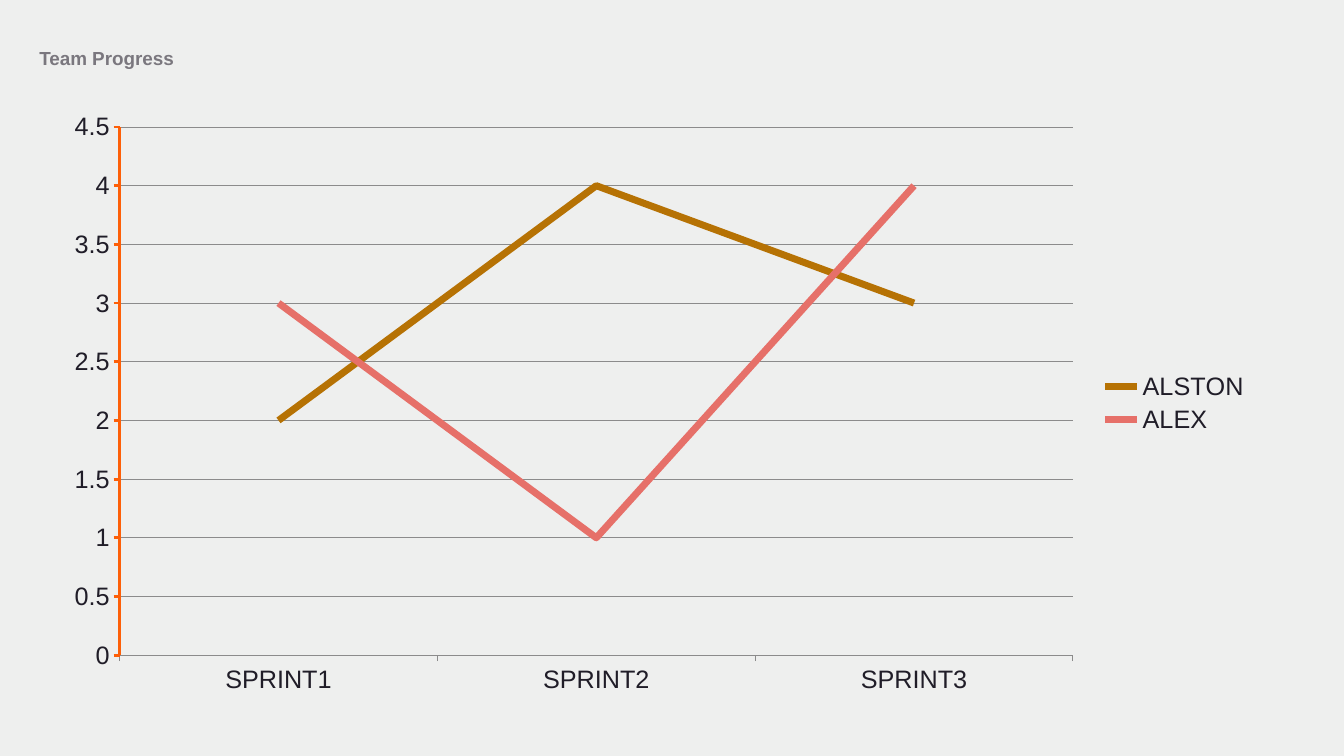
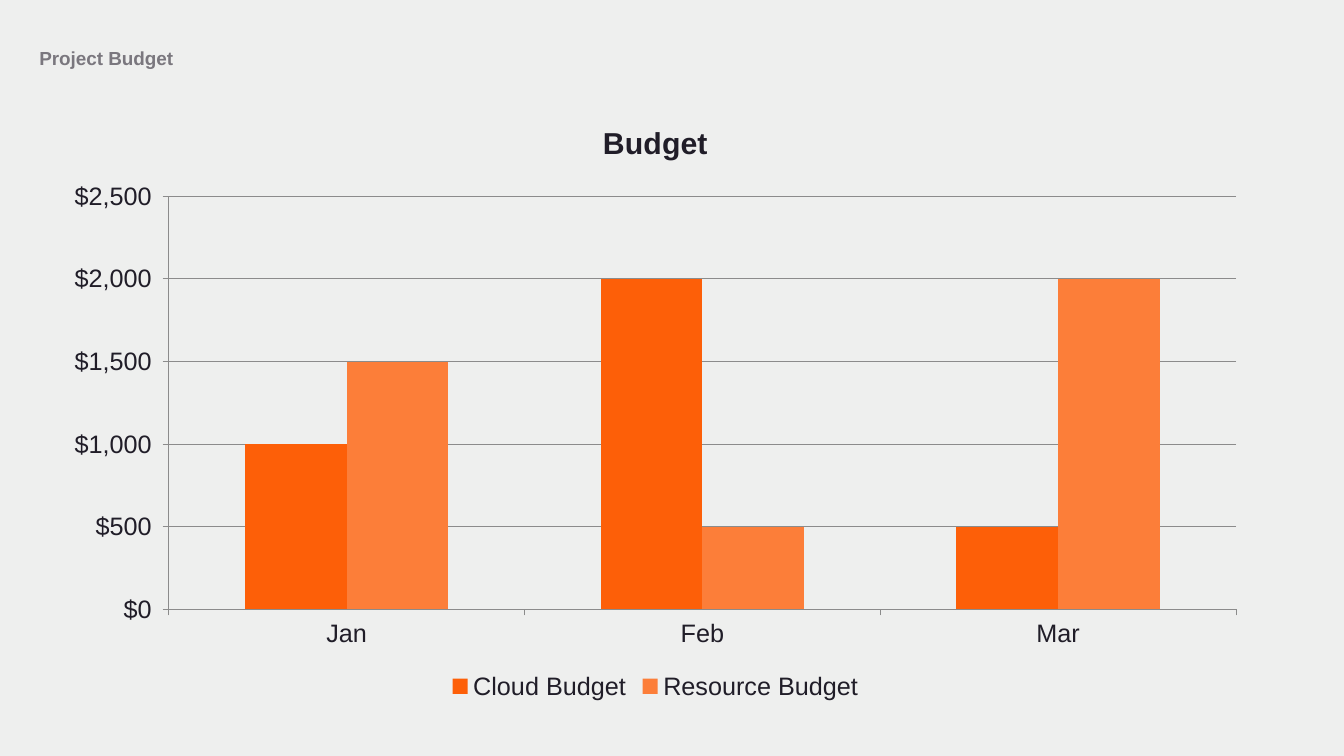
from pptx import Presentation
from pptx.chart.data import CategoryChartData
from pptx.dml.color import RGBColor
from pptx.enum.chart import XL_CHART_TYPE, XL_LEGEND_POSITION, XL_TICK_MARK
from pptx.enum.text import MSO_ANCHOR
from pptx.util import Emu, Pt

PX = 9144  # EMU per px, 100 px to the inch
SLIDE_SIZE = (1333, 750)
TITLE_BOX = (39, 39, 1253, 39)
CHART_BOX = (50, 100, 1200, 600)

FONT = "Arial"
BACKGROUND = RGBColor(0xEE, 0xEF, 0xEE)
TITLE_GRAY = RGBColor(0x7A, 0x77, 0x7E)
INK = RGBColor(0x20, 0x1D, 0x28)
GRID_GRAY = RGBColor(0x8B, 0x8B, 0x8B)
ORANGE = RGBColor(0xFD, 0x5F, 0x08)
LIGHT_ORANGE = RGBColor(0xFC, 0x7E, 0x39)
OCHRE = RGBColor(0xB6, 0x72, 0x04)
CORAL = RGBColor(0xE6, 0x70, 0x69)

DOLLARS = '"$"#,##0_);[Red]\\("$"#,##0\\)'


def emu(box):
    return [Emu(length * PX) for length in box]


def style_font(font, size, color, bold=False):
    font.name = FONT
    font.size = Pt(size)
    font.bold = bold
    font.color.rgb = color


def style_line(line, color, width):
    line.color.rgb = color
    line.width = Pt(width)


def add_titled_slide(prs, title):
    slide = prs.slides.add_slide(prs.slide_layouts[6])
    slide.background.fill.solid()
    slide.background.fill.fore_color.rgb = BACKGROUND
    frame = slide.shapes.add_textbox(*emu(TITLE_BOX)).text_frame
    frame.word_wrap = True
    frame.vertical_anchor = MSO_ANCHOR.MIDDLE
    frame.margin_left = frame.margin_right = 0
    frame.margin_top = frame.margin_bottom = 0
    frame.text = title
    heading = frame.paragraphs[0]
    heading.line_spacing = 0.9
    style_font(heading.runs[0].font, 13.5, TITLE_GRAY, bold=True)
    return slide


def add_category_chart(slide, box, kind, categories, series, top, step,
                       legend_side, number_format="General"):
    """Add a chart with the shared fonts, axes, gridlines and legend."""
    data = CategoryChartData(number_format=number_format)
    data.categories = categories
    for name, values in series:
        data.add_series(name, values)
    chart = slide.shapes.add_chart(kind, *emu(box), data).chart
    style_font(chart.font, 18, INK)
    chart.has_title = False
    chart.has_legend = True
    chart.legend.position = legend_side
    chart.legend.include_in_layout = False
    chart.plots[0].vary_by_categories = False

    for axis in (chart.category_axis, chart.value_axis):
        axis.major_tick_mark = XL_TICK_MARK.OUTSIDE
        axis.minor_tick_mark = XL_TICK_MARK.NONE
        style_line(axis.format.line, GRID_GRAY, 0.75)
    scale = chart.value_axis
    scale.minimum_scale, scale.maximum_scale = 0, top
    scale.major_unit = step
    scale.has_major_gridlines = True
    style_line(scale.major_gridlines.format.line, GRID_GRAY, 0.75)
    scale.tick_labels.number_format = number_format
    scale.tick_labels.number_format_is_linked = False
    return chart


def add_progress_slide(prs):
    slide = add_titled_slide(prs, "Team Progress")
    chart = add_category_chart(
        slide, CHART_BOX, XL_CHART_TYPE.LINE,
        ["SPRINT1", "SPRINT2", "SPRINT3"],
        [("ALSTON", (2, 4, 3)), ("ALEX", (3, 1, 4))],
        4.5, 0.5, XL_LEGEND_POSITION.RIGHT)
    style_line(chart.value_axis.format.line, ORANGE, 2)
    for member, color in zip(chart.series, (OCHRE, CORAL)):
        member.smooth = False
        style_line(member.format.line, color, 5)


def add_budget_slide(prs):
    slide = add_titled_slide(prs, "Project Budget")
    chart = add_category_chart(
        slide, CHART_BOX, XL_CHART_TYPE.COLUMN_CLUSTERED,
        ["Jan", "Feb", "Mar"],
        [("Cloud Budget", (1000, 2000, 500)),
         ("Resource Budget", (1500, 500, 2000))],
        2500, 500, XL_LEGEND_POSITION.BOTTOM, DOLLARS)
    chart.plots[0].gap_width = 150
    chart.plots[0].overlap = 0
    for budget, color in zip(chart.series, (ORANGE, LIGHT_ORANGE)):
        budget.format.fill.solid()
        budget.format.fill.fore_color.rgb = color
    chart.has_title = True
    caption = chart.chart_title.text_frame
    caption.text = "Budget"
    style_font(caption.paragraphs[0].runs[0].font, 21.6, INK, bold=True)


def main():
    prs = Presentation()
    prs.slide_width, prs.slide_height = emu(SLIDE_SIZE)
    add_progress_slide(prs)
    add_budget_slide(prs)
    prs.save("out.pptx")


if __name__ == "__main__":
    main()
